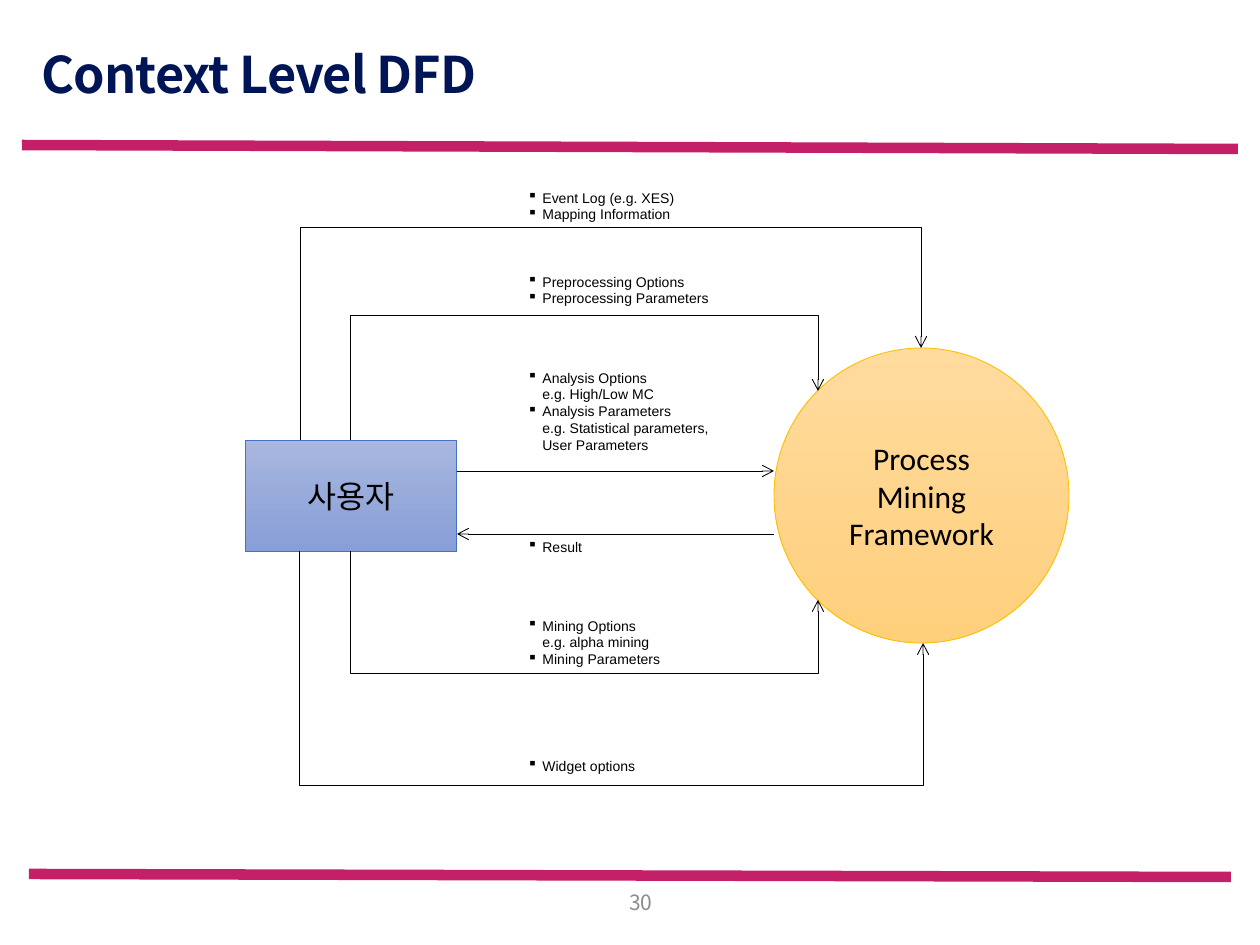
from lxml import etree
from pptx import Presentation
from pptx.dml.color import RGBColor
from pptx.enum.shapes import MSO_CONNECTOR, MSO_SHAPE
from pptx.enum.text import MSO_ANCHOR, MSO_AUTO_SIZE, PP_ALIGN
from pptx.oxml.ns import qn
from pptx.util import Emu, Pt

PX = 914400 / 126
STRAIGHT, ELBOW = MSO_CONNECTOR.STRAIGHT, MSO_CONNECTOR.ELBOW
RECTANGLE, OVAL = MSO_SHAPE.RECTANGLE, MSO_SHAPE.OVAL
MIDDLE = MSO_ANCHOR.MIDDLE
CENTER, LEFT, RIGHT = PP_ALIGN.CENTER, PP_ALIGN.LEFT, PP_ALIGN.RIGHT
NO_FIT, GROW = MSO_AUTO_SIZE.NONE, MSO_AUTO_SIZE.SHAPE_TO_FIT_TEXT
HEADING_FONT = "Noto Sans CJK KR"

LABELS = [
    (0, 183, 47, ["Event Log (e.g. XES)", "Mapping Information"]),
    (84, 218, 47, ["Preprocessing Options", "Preprocessing Parameters"]),
    (180, 218, 97, ["Analysis Options\ne.g. High/Low MC",
                    "Analysis Parameters\ne.g. Statistical parameters,\nUser Parameters"]),
    (349, 89, 30, ["Result"]),
    (428, 169, 63, ["Mining Options\ne.g. alpha mining", "Mining Parameters"]),
    (568, 144, 30, ["Widget options"]),
]
STRAIGHT_FLOWS = [(212, 288, 529, 288), (529, 351, 212, 351)]
LOOP_FLOWS = [
    (55, 257, 676, 165, 44),
    (105, 257, 573, 208, 133),
    (105, 368, 573, 417, 491),
    (54, 368, 678, 460, 602),
]


def px(*lengths):
    return [Emu(round(length * PX)) for length in lengths]


def rgb(value):
    return RGBColor.from_string(value)


def format_text(frame, font, size, color, align, bold=False):
    for paragraph in frame.paragraphs:
        paragraph.alignment = align
        for run in paragraph.runs:
            run.font.name = font
            run.font.size = Pt(size)
            run.font.bold = bold
            run.font.color.rgb = rgb(color)


def style_line(line, color, width, arrow=False):
    line.line.color.rgb = rgb(color)
    line.line.width = Pt(width)
    if arrow:
        etree.SubElement(line.line._get_or_add_ln(), qn("a:tailEnd"), type="arrow")
    etree.SubElement(line._element.spPr, qn("a:effectLst"))


def add_line(slide, x1, y1, x2, y2, color, width, arrow=False):
    line = slide.shapes.add_connector(STRAIGHT, *px(x1, y1, x2, y2))
    style_line(line, color, width, arrow)


def add_loop(slide, x1, y1, x2, y2, turn_y):
    rise, run = abs(y2 - y1), x2 - x1
    left, top = (x1 + x2 - rise) / 2, (y1 + y2 - run) / 2
    loop = slide.shapes.add_connector(ELBOW, *px(left, top, left + rise, top + run))
    frame = loop._element.spPr.find(qn("a:xfrm"))
    upward = y2 < y1
    frame.set("rot", str((90 if upward else 270) * 60000))
    frame.set("flipH", "1")
    if upward:
        frame.set("flipV", "1")
    adjustments = loop._element.spPr.find(qn("a:prstGeom")).get_or_add_avLst()
    ratio = round(abs(turn_y - y1) / rise * 100000)
    etree.SubElement(adjustments, qn("a:gd"), name="adj1", fmla=f"val {ratio}")
    style_line(loop, "000000", 0.5, arrow=True)


def add_node(slide, kind, box, text, font, top_color, bottom_color, border):
    node = slide.shapes.add_shape(kind, *px(*box))
    node.shadow.inherit = False
    node.fill.gradient()
    node.fill.gradient_angle = 270
    for stop, color in zip(node.fill.gradient_stops, (top_color, bottom_color)):
        stop.color.rgb = rgb(color)
    node.line.color.rgb = rgb(border)
    node.line.width = Pt(0.5)
    node.text_frame.text = text
    node.text_frame.vertical_anchor = MIDDLE
    format_text(node.text_frame, font, 18, "000000", CENTER)


def add_label(slide, x, y, width, height, entries):
    frame = slide.shapes.add_textbox(*px(x, y, width, height)).text_frame
    frame.word_wrap = False
    frame.auto_size = GROW
    hanging, bullet_offset = px(24, -15)
    for index, entry in enumerate(entries):
        paragraph = frame.paragraphs[0] if index == 0 else frame.add_paragraph()
        paragraph.text = entry
        properties = paragraph._p.get_or_add_pPr()
        properties.set("marL", str(hanging))
        properties.set("indent", str(bullet_offset))
        etree.SubElement(properties, qn("a:buChar"), char="▪")
    format_text(frame, "Arial", 8, "000000", LEFT)


def add_header(slide, x, y):
    add_line(slide, x, y + 145, x + 1216, y + 149, "C42067", 6)
    title = slide.shapes.title
    title.left, title.top, title.width, title.height = px(x + 7, y + 50, 1186, 54)
    frame = title.text_frame
    frame.text = "Context Level DFD"
    frame.auto_size = NO_FIT
    frame.vertical_anchor = MIDDLE
    frame.paragraphs[0].line_spacing = 0.9
    format_text(frame, HEADING_FONT, 28.8, "001555", LEFT, bold=True)
    frame.paragraphs[0].runs[0].font._element.set("spc", "-50")


def add_footer(slide, x, y):
    add_line(slide, x, y, x + 1202, y + 3, "C42067", 6)
    frame = slide.shapes.add_textbox(*px(x + 562, y + 14, 74, 28)).text_frame
    frame.word_wrap = True
    frame.text = "30"
    frame.vertical_anchor = MIDDLE
    format_text(frame, HEADING_FONT, 12, "8C8C8C", RIGHT)


def add_data_flow_diagram(slide, x, y):
    add_node(slide, OVAL, (x + 529, y + 165, 295, 295), "Process Mining\nFramework",
             "Calibri", "FFDB9E", "FFD07C", "FFC000")
    add_node(slide, RECTANGLE, (x, y + 257, 212, 112), "사용자",
             "Arial", "A8B7DF", "889ED7", "4472C4")
    for x1, y1, x2, y2 in STRAIGHT_FLOWS:
        add_line(slide, x + x1, y + y1, x + x2, y + y2, "000000", 0.5, arrow=True)
    for x1, y1, x2, y2, turn_y in LOOP_FLOWS:
        add_loop(slide, x + x1, y + y1, x + x2, y + y2, y + turn_y)
    for top, width, height, entries in LABELS:
        add_label(slide, x + 261, y + top, width, height, entries)


def main():
    deck = Presentation()
    deck.slide_width, deck.slide_height = px(1260, 945)
    slide = deck.slides.add_slide(deck.slide_layouts[5])
    add_header(slide, 22, 0)
    add_footer(slide, 29, 874)
    add_data_flow_diagram(slide, 245, 183)
    deck.save("out.pptx")


if __name__ == "__main__":
    main()
